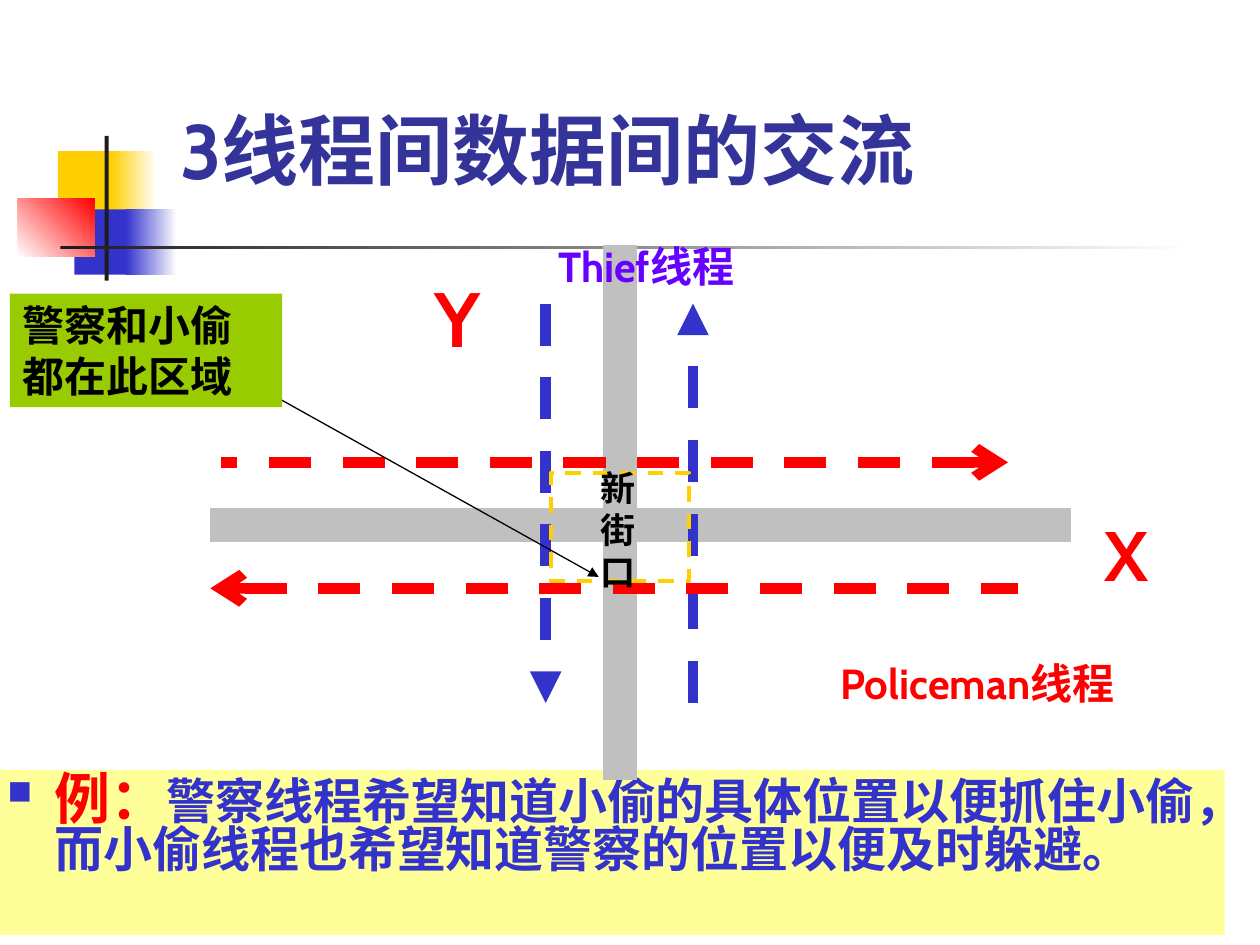
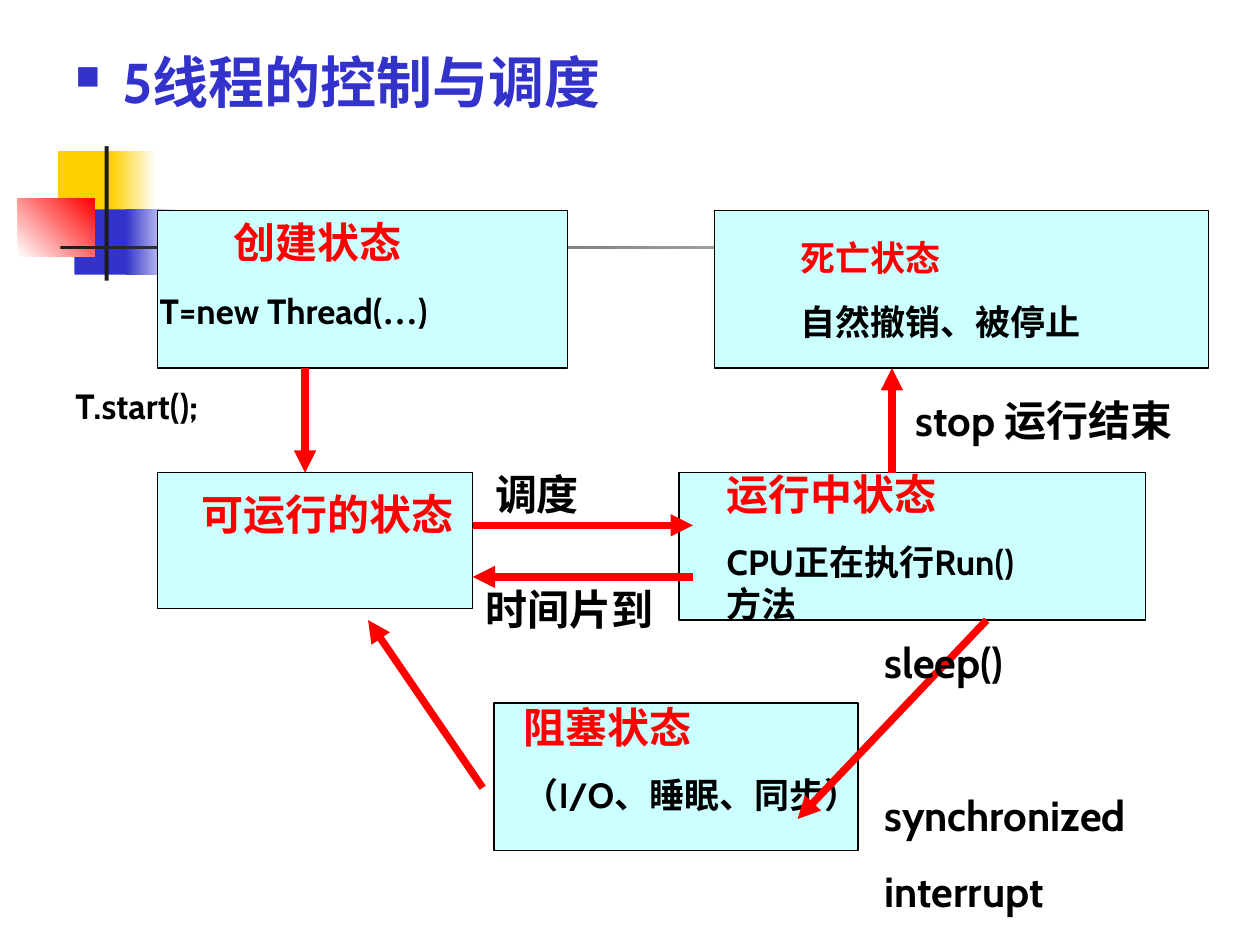
from lxml import etree
from pptx import Presentation
from pptx.dml.color import RGBColor
from pptx.enum.dml import MSO_LINE
from pptx.enum.shapes import MSO_CONNECTOR, MSO_SHAPE
from pptx.enum.text import MSO_ANCHOR, PP_ALIGN
from pptx.oxml.ns import qn
from pptx.util import Cm, Pt

RECT = MSO_SHAPE.RECTANGLE
STRAIGHT = MSO_CONNECTOR.STRAIGHT
DASH = MSO_LINE.DASH
TOP, BOTTOM = MSO_ANCHOR.TOP, MSO_ANCHOR.BOTTOM
LEFT = PP_ALIGN.LEFT

BLACK = RGBColor(0x00, 0x00, 0x00)
WHITE = RGBColor(0xFF, 0xFF, 0xFF)
RED = RGBColor(0xFF, 0x00, 0x00)
BLUE = RGBColor(0x33, 0x33, 0xCC)
NAVY = RGBColor(0x33, 0x33, 0x99)
VIOLET = RGBColor(0x66, 0x00, 0xFF)
GOLD = RGBColor(0xFF, 0xCF, 0x01)
GREEN = RGBColor(0x99, 0xCC, 0x00)
YELLOW = RGBColor(0xFF, 0xFF, 0x99)
CYAN = RGBColor(0xCC, 0xFF, 0xFF)
GRAY = RGBColor(0xC0, 0xC0, 0xC0)
DARK = RGBColor(0x1C, 0x1C, 0x1C)
FONT = "Cabin"


def add_box(s, at, paras=(), fill=None, line=None, width=0.75, dash=None,
            anchor=TOP, bullet=False, spacing=None):
    """Rectangle or text box; paras holds (space before, [(text, size, colour, font)])."""
    at = [Cm(v) for v in at]
    if fill is None and line is None:
        sp = s.shapes.add_textbox(*at)
    else:
        sp = s.shapes.add_shape(RECT, *at)
        sp.shadow.inherit = False
        if fill is None:
            sp.fill.background()
        elif isinstance(fill, RGBColor):
            sp.fill.solid()
            sp.fill.fore_color.rgb = fill
        else:
            start, end, angle = fill
            sp.fill.gradient()
            sp.fill.gradient_angle = angle
            for stop, color in zip(sp.fill.gradient_stops, (start, end)):
                stop.color.rgb = color
        if line is None:
            sp.line.fill.background()
        else:
            sp.line.color.rgb = line
            sp.line.width = Pt(width)
            if dash:
                sp.line.dash_style = dash
    tf = sp.text_frame
    tf.word_wrap = True
    tf.vertical_anchor = anchor
    for i, (before, runs) in enumerate(paras):
        p = tf.paragraphs[0] if i == 0 else tf.add_paragraph()
        p.alignment = LEFT
        p.space_before = Pt(before)
        if spacing:
            p.line_spacing = spacing
        if bullet:
            pPr = p._p.get_or_add_pPr()
            pPr.set("marL", str(Cm(0.95)))
            pPr.set("indent", str(-Cm(0.95)))
            color = etree.SubElement(pPr, qn("a:buClr"))
            etree.SubElement(color, qn("a:srgbClr"), val=str(BLUE))
            etree.SubElement(pPr, qn("a:buSzPct"), val="60000")
            etree.SubElement(pPr, qn("a:buChar"), char="■")
        for text, size, color, *font in runs:
            r = p.add_run()
            r.text = text
            r.font.name = font[0] if font else FONT
            r.font.size = Pt(size)
            r.font.bold = True
            r.font.color.rgb = color


def add_line(s, ends, color, width, dash=None, head=None, tail=None):
    """Straight line from (x1, y1) to (x2, y2), with optional arrowheads."""
    c = s.shapes.add_connector(STRAIGHT, *[Cm(v) for v in ends])
    c.line.color.rgb = color
    c.line.width = Pt(width)
    if dash:
        c.line.dash_style = dash
    spPr = c._element.spPr
    ln = spPr.find(qn("a:ln"))
    for tag, kind in (("a:headEnd", head), ("a:tailEnd", tail)):
        if kind:
            etree.SubElement(ln, qn(tag), type=kind)
    etree.SubElement(spPr, qn("a:effectLst"))


prs = Presentation()
prs.slide_width, prs.slide_height = Cm(25.4), Cm(19.05)

# Shared corner blocks and rules
decoration = [
    ((1.17, 3.05, 1.22, 1.32), GOLD),
    ((2.24, 3.05, 0.91, 1.32), (GOLD, WHITE, 0)),
    ((1.5, 4.22, 1.17, 1.32), BLUE),
    ((2.54, 4.22, 1.02, 1.32), (BLUE, WHITE, 0)),
    ((0.36, 4.01, 1.55, 1.17), (WHITE, RED, 45)),
    ((2.11, 2.74, 0.08, 2.92), DARK),
    ((1.22, 4.95, 22.86, 0.08), (DARK, WHITE, 0)),
]
slides = []
for _ in range(2):
    s = prs.slides.add_slide(prs.slide_layouts[6])
    for at, fill in decoration:
        add_box(s, at, fill=fill)
    slides.append(s)
crossing, states = slides

# Slide 1: title and example
s = crossing
add_box(s, (3.38, 1.7, 17.75, 2.36), [(0, [("3线程间数据间的交流", 44, NAVY)])],
        anchor=BOTTOM)
add_box(s, (-0.1, 15.52, 24.79, 3.33), [(0, [
    ("例：", 32, RED),
    ("警察线程希望知道小偷的具体位置以便抓住小偷，而小偷线程也希望知道警察的位置以便及时躲避。", 28, BLUE),
])], fill=YELLOW, bullet=True, spacing=0.8)

# Roads
for ends in [(12.5, 15.72, 12.5, 4.93), (4.24, 10.59, 21.59, 10.59)]:
    add_line(s, ends, GRAY, 19.25)

# Thief lanes run along Y, policeman lanes along X
for ends in [(11, 6.12, 11, 14.17), (13.97, 14.17, 13.97, 6.12)]:
    add_line(s, ends, BLUE, 6, DASH, tail="triangle")
for ends in [(4.24, 11.86, 20.52, 11.86), (20.32, 9.32, 4.45, 9.32)]:
    add_line(s, ends, RED, 6, DASH, head="arrow")

# Lane and axis labels
for at, text, size, color in [
    ((16.69, 13.13, 7.85, 1.27), "Policeman线程", 24, RED),
    ((11, 4.72, 5.08, 1.27), "Thief线程", 24, VIOLET),
    ((22.02, 10.19, 2.34, 1.96), "X", 40, RED),
    ((8.51, 5.33, 2.34, 2.13), "Y", 44, RED),
]:
    add_box(s, at, [(0, [(text, size, color)])])

# Shared area and its callout
add_box(s, (11.1, 9.53, 2.79, 2.18), line=GOLD, width=2.25, dash=DASH)
add_line(s, (4.88, 7.62, 12.07, 11.63), BLACK, 0.75, tail="triangle")
add_box(s, (0.2, 5.92, 5.49, 2.29), [(0, [("警察和小偷都在此区域", 24, BLACK)])], fill=GREEN)
add_box(s, (11.86, 9.27, 1.07, 2.79), [(0, [("新街口", 20, BLACK)])])

# Slide 2: heading
s = states
add_box(s, (1.27, 0.84, 22.86, 2.11), [(0, [("5线程的控制与调度", 32, BLUE)])],
        fill=WHITE, bullet=True)

# State boxes: running, blocked, dead, runnable, created
for at in [
    (13.69, 9.53, 9.4, 2.97),
    (9.96, 14.17, 7.34, 2.97),
    (14.4, 4.24, 9.96, 3.18),
    (3.18, 9.53, 6.35, 2.74),
    (3.18, 4.24, 8.26, 3.18),
]:
    add_box(s, at, fill=CYAN, line=BLACK)

# State names and details
for at, paras in [
    ((4.45, 4.24, 4.45, 1.27), [(0, [("创建状态", 24, RED)])]),
    ((2.97, 5.72, 7.42, 1.12), [(0, [("T=new Thread(", 20, BLACK),
                                     ("…", 20, BLACK, "Times New Roman"),
                                     (")", 20, BLACK)])]),
    ((3.81, 9.73, 5.72, 1.27), [(0, [("可运行的状态", 24, RED)])]),
    ((14.4, 9.32, 6.99, 3.4), [(0, [("运行中状态", 24, RED)]),
                               (12.5, [("CPU正在执行Run()方法", 20, BLACK)])]),
    ((10.31, 14.02, 7.39, 3.4), [(0, [("阻塞状态", 24, RED)]),
                                 (12.5, [("（I/O、睡眠、同步）", 20, BLACK)])]),
    ((15.88, 4.65, 8.46, 2.39), [(0, [("死亡状态", 20, RED)]),
                                 (12.5, [("自然撤销、被停止", 20, BLACK)])]),
]:
    add_box(s, at, paras)

# Transitions
for ends in [
    (6.15, 7.42, 6.15, 9.53),
    (9.53, 10.59, 13.97, 10.59),
    (9.73, 15.88, 7.42, 12.5),
    (19.89, 12.5, 16.08, 16.51),
    (17.98, 9.53, 17.98, 7.42),
    (13.97, 11.63, 9.53, 11.63),
]:
    add_line(s, ends, RED, 4.25, tail="triangle")

# Transition labels
for at, size, lines in [
    ((9.73, 9.32, 5.28, 1.27), 24, [(0, "调度")]),
    ((9.53, 11.63, 5.28, 1.27), 24, [(0, "时间片到")]),
    ((17.58, 12.7, 7.19, 5.92), 24, [(0, "sleep()"), (58.6, "synchronized"), (15, "interrupt")]),
    ((18.21, 7.82, 6.15, 2.29), 24, [(0, "stop 运行结束")]),
    ((1.27, 7.62, 5.72, 2.39), 20, [(0, "T.start();")]),
]:
    add_box(s, at, [(before, [(text, size, BLACK)]) for before, text in lines])

prs.save("out.pptx")
